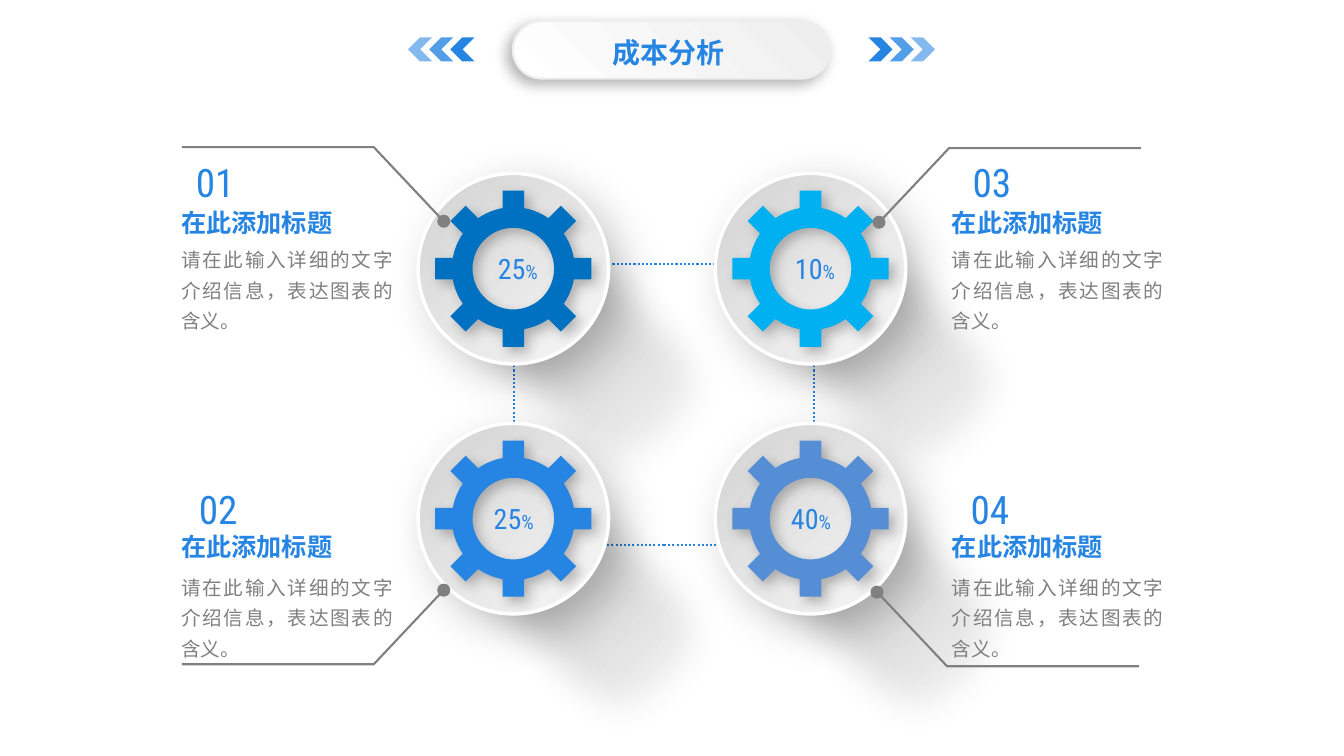
import math
import lxml.etree
import pptx
import pptx.dml.color
import pptx.enum.dml
import pptx.enum.shapes
import pptx.enum.text
import pptx.oxml.ns
import pptx.util

RGB = pptx.dml.color.RGBColor
SHAPE = pptx.enum.shapes.MSO_SHAPE
ALIGN = pptx.enum.text.PP_ALIGN
qn = pptx.oxml.ns.qn

BLUE = RGB(0x26, 0x84, 0xE2)
NAVY = RGB(0x00, 0x70, 0xC0)
CYAN = RGB(0x00, 0xB0, 0xF0)
STEEL = RGB(0x55, 0x8E, 0xD5)
GRAY = RGB(0x80, 0x80, 0x80)
MIST = RGB(0x6C, 0x6C, 0x6C)
SILVER = RGB(0xD3, 0xD3, 0xD3)
PALE = RGB(0xF7, 0xF7, 0xF7)
LIGHT = RGB(0xEE, 0xEE, 0xEE)
WHITE = RGB(0xFF, 0xFF, 0xFF)
BLACK = RGB(0x00, 0x00, 0x00)

LATIN = "Roboto Condensed"
CJK = "Noto Sans CJK SC"
CELL = pptx.util.Inches(0.1)
COLS, ROWS = 133.4, 75
HEADING = "在此添加标题"
BODY = "请在此输入详细的文字介绍信息，表达图表的含义。"


def cells(*lengths):
    return [round(n * CELL) for n in lengths]


def node(parent, tag, **attrs):
    return lxml.etree.SubElement(parent, qn(tag), {k: str(v) for k, v in attrs.items()})


def color_node(parent, color, alpha):
    c = node(parent, "a:srgbClr", val=color)
    node(c, "a:alpha", val=alpha * 1000)


def set_style(sp, fill=None, line=None, width=1.5):
    if fill is None:
        sp.fill.background()
    else:
        sp.fill.solid()
        sp.fill.fore_color.rgb = fill
    if line is None:
        sp.line.fill.background()
    else:
        sp.line.color.rgb = line
        sp.line.width = pptx.util.Pt(width)
    sp.shadow.inherit = False


def set_gradient(sp, stops, angle):
    sp.fill.gradient()
    grad = sp._element.spPr.find(qn("a:gradFill"))
    for child in list(grad):
        grad.remove(child)
    gs_list = node(grad, "a:gsLst")
    for pos, color, alpha in stops:
        color_node(node(gs_list, "a:gs", pos=pos * 1000), color, alpha)
    node(grad, "a:lin", ang=angle * 60000, scaled=0)


def set_shadow(sp, alpha, blur, dist, angle):
    effects = sp._element.spPr.find(qn("a:effectLst"))
    shadow = node(effects, "a:outerShdw", blurRad=blur * 12700, dist=dist * 12700,
                  dir=angle * 60000, algn="ctr", rotWithShape=0)
    color_node(shadow, BLACK, alpha)


def add_run(p, text, size, color, font=LATIN, bold=False):
    r = p.add_run()
    r.text = text
    r.font.size = pptx.util.Pt(size)
    r.font.bold = bold
    r.font.color.rgb = color
    r.font.name = font
    node(r._r.get_or_add_rPr(), "a:ea", typeface=CJK)


def add_text(s, box, runs, align=ALIGN.LEFT, spacing=None):
    tf = s.shapes.add_textbox(*cells(*box)).text_frame
    tf.word_wrap = True
    p = tf.paragraphs[0]
    p.alignment = align
    p.line_spacing = spacing
    for run in runs:
        add_run(p, *run)


def add_header(s, box):
    x, y, w, h = box
    pill = s.shapes.add_shape(SHAPE.ROUNDED_RECTANGLE, *cells(*box))
    pill.adjustments[0] = 0.5
    set_style(pill, WHITE, LIGHT)
    set_gradient(pill, [(0, LIGHT, 100), (100, WHITE, 100)], 135)
    set_shadow(pill, 30, 10, 5, 135)

    size, step = 2.4, 2.1
    for side in (1, -1):
        for i, alpha in enumerate((100, 79, 57)):
            center = x + w / 2 + side * (20.75 + i * step)
            sp = s.shapes.add_shape(SHAPE.CHEVRON, *cells(center - size / 2, y + 1.6, size, size))
            sp.rotation = 0 if side > 0 else 180
            set_style(sp, BLUE)
            node(sp._element.spPr.find(qn("a:solidFill"))[0], "a:alpha", val=alpha * 1000)

    title = s.shapes.title
    title.left, title.top, title.width, title.height = cells(x + 4, y + 1, w - 8.5, 4.1)
    s.shapes._spTree.append(title._element)
    tf = title.text_frame
    tf.auto_size = pptx.enum.text.MSO_AUTO_SIZE.NONE
    tf.vertical_anchor = pptx.enum.text.MSO_ANCHOR.MIDDLE
    tf.margin_left, tf.margin_top, tf.margin_right, tf.margin_bottom = cells(0.7, 0.4, 0.7, 0.4)
    tf.paragraphs[0].alignment = ALIGN.CENTER
    add_run(tf.paragraphs[0], "成本分析", 20, BLUE, LATIN, True)


def add_frame(s, box):
    sp = s.shapes.add_shape(SHAPE.RECTANGLE, *cells(*box))
    set_style(sp, line=BLUE)
    sp.line.dash_style = pptx.enum.dml.MSO_LINE.ROUND_DOT


def gear_contours(cx, cy):
    tip, body, half, hole = 7.75, 6.1, 1.07, 4.05
    bite = math.asin(half / body)
    pitch = math.pi / 4
    outline = []
    for k in range(8):
        a = k * pitch
        corner, reach = math.atan2(half, tip), math.hypot(half, tip)
        outline += [(body, a - bite), (reach, a - corner), (reach, a + corner)]
        outline += [(body, a + bite + (pitch - 2 * bite) * i / 5) for i in range(5)]
    inner = [(hole, -i * math.pi / 30) for i in range(60)]
    return [[cells(cx + d * math.cos(a), cy + d * math.sin(a)) for d, a in polar]
            for polar in (outline, inner)]


def add_gear(s, box, color):
    x, y, w, h = box
    cx, cy = x + w / 2, y + h / 2
    cast = s.shapes.add_shape(SHAPE.ROUNDED_RECTANGLE, *cells(cx - 11.95, cy - 4.75, 36, 22.8))
    cast.adjustments[0] = 0.5
    cast.rotation = 46
    set_style(cast, MIST)
    set_gradient(cast, [(0, BLACK, 61), (47, BLACK, 19), (76, MIST, 10), (100, SILVER, 0)], 0)
    node(cast._element.spPr.find(qn("a:effectLst")), "a:softEdge", rad=25 * 12700)

    disc = s.shapes.add_shape(SHAPE.OVAL, *cells(*box))
    set_style(disc, PALE, WHITE, 2.5)
    set_gradient(disc, [(0, SILVER, 100), (100, PALE, 100)], 45)
    set_shadow(disc, 22, 32, 13, 45)

    outline, inner = gear_contours(cx, cy)
    fb = s.shapes.build_freeform(*outline[0])
    fb.add_line_segments(outline[1:], close=True)
    fb.move_to(*inner[0])
    fb.add_line_segments(inner[1:], close=True)
    gear = fb.convert_to_shape()
    set_style(gear, color)
    set_shadow(gear, 26, 9, 5, 45)


def add_percent(s, cx, cy, value):
    add_text(s, (cx - 6.8, cy - 2.2, 13.6, 4.4),
             [(value, 20, BLUE), ("%", 14, BLUE)], ALIGN.CENTER)


def add_callout(s, cx, cy, side, rise):
    dot = s.shapes.add_shape(SHAPE.OVAL, *cells(cx - 0.65, cy - 0.65, 1.3, 1.3))
    set_style(dot, GRAY)
    points = [cells(cx + side * dx, cy + rise * dy)
              for dx, dy in ((0.35, 0.35), (6.95, 7.35), (26, 7.35))]
    fb = s.shapes.build_freeform(*points[0])
    fb.add_line_segments(points[1:], close=False)
    set_style(fb.convert_to_shape(), line=GRAY)


def add_caption(s, x, tops, number, number_x):
    number_y, heading_y, body_y = tops
    add_text(s, (number_x, number_y, 8.9, 5.7), [(number, 28, BLUE)], ALIGN.CENTER)
    add_text(s, (x, heading_y, 19.3, 4), [(HEADING, 18, BLUE, CJK, True)])
    add_text(s, (x, body_y, 23, 10.2), [(BODY, 14, GRAY, CJK)], ALIGN.JUSTIFY, 1.3)


def main():
    prs = pptx.Presentation()
    prs.slide_width, prs.slide_height = cells(COLS, ROWS)
    s = prs.slides.add_slide(prs.slide_layouts[5])

    add_header(s, (50.9, 2.1, 31.5, 5.7))
    add_frame(s, (51, 26.2, 29.8, 27.9))

    lefts, tops, disc = (41.5, 71), (17.2, 42), 18.9
    gears = [(0, 0, NAVY), (1, 0, CYAN), (0, 1, BLUE), (1, 1, STEEL)]
    for col, row, color in gears:
        add_gear(s, (lefts[col], tops[row], disc, disc), color)

    percents = [(51.4, 26.7, "25"), (80.9, 26.7, "10"), (51, 51.5, "25"), (80.5, 51.5, "40")]
    for cx, cy, value in percents:
        add_percent(s, cx, cy, value)

    callouts = [(44.05, 21.95, -1, -1), (87.25, 22.05, 1, -1),
                (44.05, 58.55, -1, 1), (87.05, 58.75, 1, 1)]
    for callout in callouts:
        add_callout(s, *callout)

    upper, lower = (15.2, 20.1, 23.4), (47.7, 52.2, 55.9)
    captions = [(17, upper, "01", 16.9), (17, lower, "02", 17.2),
                (93.5, upper, "03", 94), (93.5, lower, "04", 93.8)]
    for caption in captions:
        add_caption(s, *caption)

    prs.save("out.pptx")


if __name__ == "__main__":
    main()
